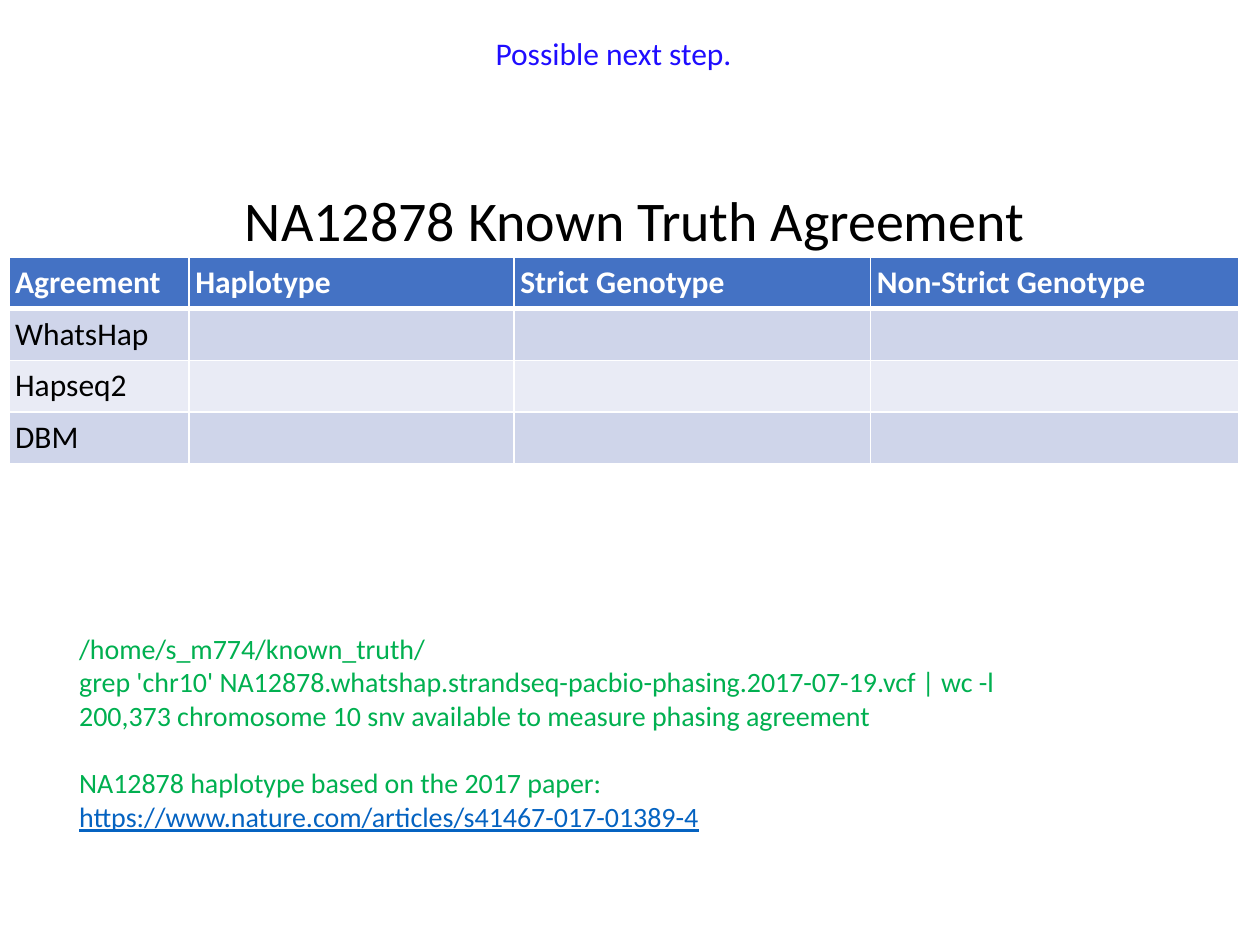
from dataclasses import dataclass

from lxml.etree import SubElement
from pptx import Presentation
from pptx.dml.color import RGBColor
from pptx.enum.text import PP_ALIGN
from pptx.oxml.ns import qn
from pptx.slide import Slide
from pptx.util import Inches, Pt


def color(hex_string):
    return RGBColor.from_string(hex_string)


@dataclass
class SlideBuilder:
    slide: Slide
    font_name: str = "Calibri"
    header_fill: str = "4472C4"
    band_fills: tuple = ("CFD5EA", "E9EBF5")
    border: str = "FFFFFF"

    def style(self, paragraph, size, font_color, bold=False):
        paragraph.font.name = self.font_name
        paragraph.font.size = Pt(size)
        paragraph.font.bold = bold
        paragraph.font.color.rgb = color(font_color)

    def text(self, left, top, width, height, lines, size, font_color, align=PP_ALIGN.LEFT):
        shape = self.slide.shapes.add_textbox(
            Inches(left), Inches(top), Inches(width), Inches(height)
        )
        frame = shape.text_frame
        frame.word_wrap = True
        frame.text = "\n".join(lines)
        for paragraph in frame.paragraphs:
            paragraph.alignment = align
            self.style(paragraph, size, font_color)
        return frame.paragraphs

    def borders(self, cell, row_index):
        properties = cell._tc.get_or_add_tcPr()
        top = 3 if row_index == 1 else 1
        bottom = 3 if row_index == 0 else 1
        for side, width in (("L", 1), ("R", 1), ("T", top), ("B", bottom)):
            line = SubElement(properties, qn(f"a:ln{side}"), w=str(Pt(width)))
            fill = SubElement(line, qn("a:solidFill"))
            SubElement(fill, qn("a:srgbClr"), val=self.border)

    def table(self, left, top, column_widths, row_height, rows):
        shape = self.slide.shapes.add_table(
            len(rows), len(column_widths), Inches(left), Inches(top),
            Inches(sum(column_widths)), Inches(row_height * len(rows)),
        )
        table = shape.table
        for column, width in zip(table.columns, column_widths):
            column.width = Inches(width)
        for row_index, values in enumerate(rows):
            is_header = row_index == 0
            fill = self.header_fill if is_header else self.band_fills[(row_index - 1) % 2]
            for column_index in range(len(column_widths)):
                cell = table.cell(row_index, column_index)
                cell.margin_left = cell.margin_right = Inches(0.05)
                cell.margin_top = cell.margin_bottom = Inches(0.05)
                self.borders(cell, row_index)
                cell.fill.solid()
                cell.fill.fore_color.rgb = color(fill)
                if column_index < len(values):
                    cell.text = values[column_index]
                self.style(
                    cell.text_frame.paragraphs[0], 18,
                    "FFFFFF" if is_header else "000000", is_header,
                )


def main():
    presentation = Presentation()
    presentation.slide_width = Inches(10)
    presentation.slide_height = Inches(7.5)
    builder = SlideBuilder(presentation.slides.add_slide(presentation.slide_layouts[6]))

    notes = builder.text(0.53, 4.96, 8.62, 1.73, [
        "/home/s_m774/known_truth/",
        "grep 'chr10' NA12878.whatshap.strandseq-pacbio-phasing.2017-07-19.vcf | wc -l",
        "200,373 chromosome 10 snv available to measure phasing agreement",
        "NA12878 haplotype based on the 2017 paper:",
        "https://www.nature.com/articles/s41467-017-01389-4",
    ], 16, "00B050")
    citation, address = notes[-2:]
    citation.space_before = Pt(19.5)
    address.font.color.rgb = color("0563C1")
    address.font.underline = True

    builder.table(0.07, 2.04, [1.43, 2.58, 2.83, 2.92], 0.41, [
        ["Agreement", "Haplotype", "Strict Genotype", "Non-Strict Genotype"],
        ["WhatsHap"],
        ["Hapseq2"],
        ["DBM"],
    ])
    builder.text(0.73, 1.42, 8.62, 0.64, ["NA12878 Known Truth Agreement"],
                 32, "000000", PP_ALIGN.CENTER)
    builder.text(0.33, 0.22, 9.08, 0.4, ["Possible next step."],
                 18, "1F0DFF", PP_ALIGN.CENTER)

    presentation.save("out.pptx")


if __name__ == "__main__":
    main()
